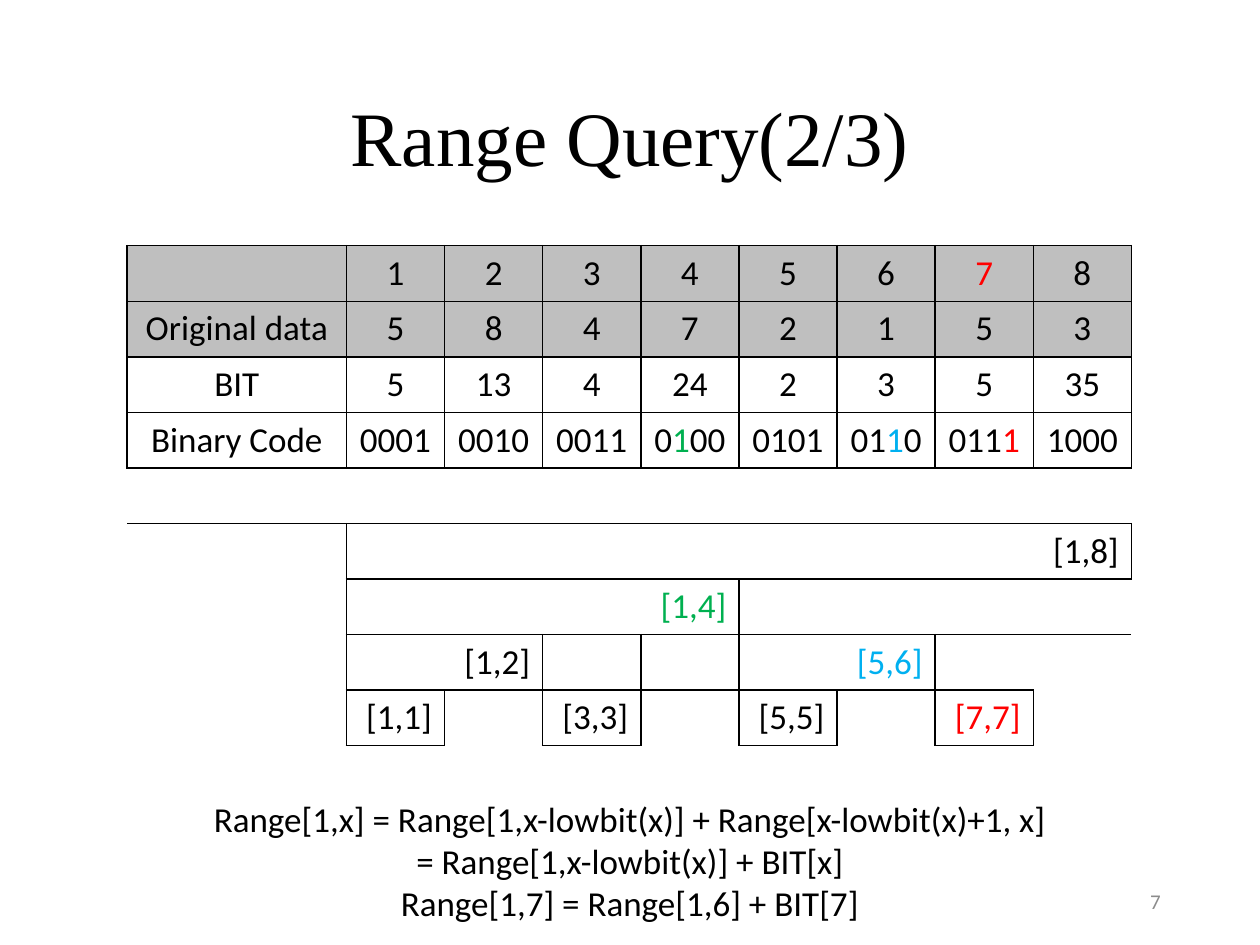
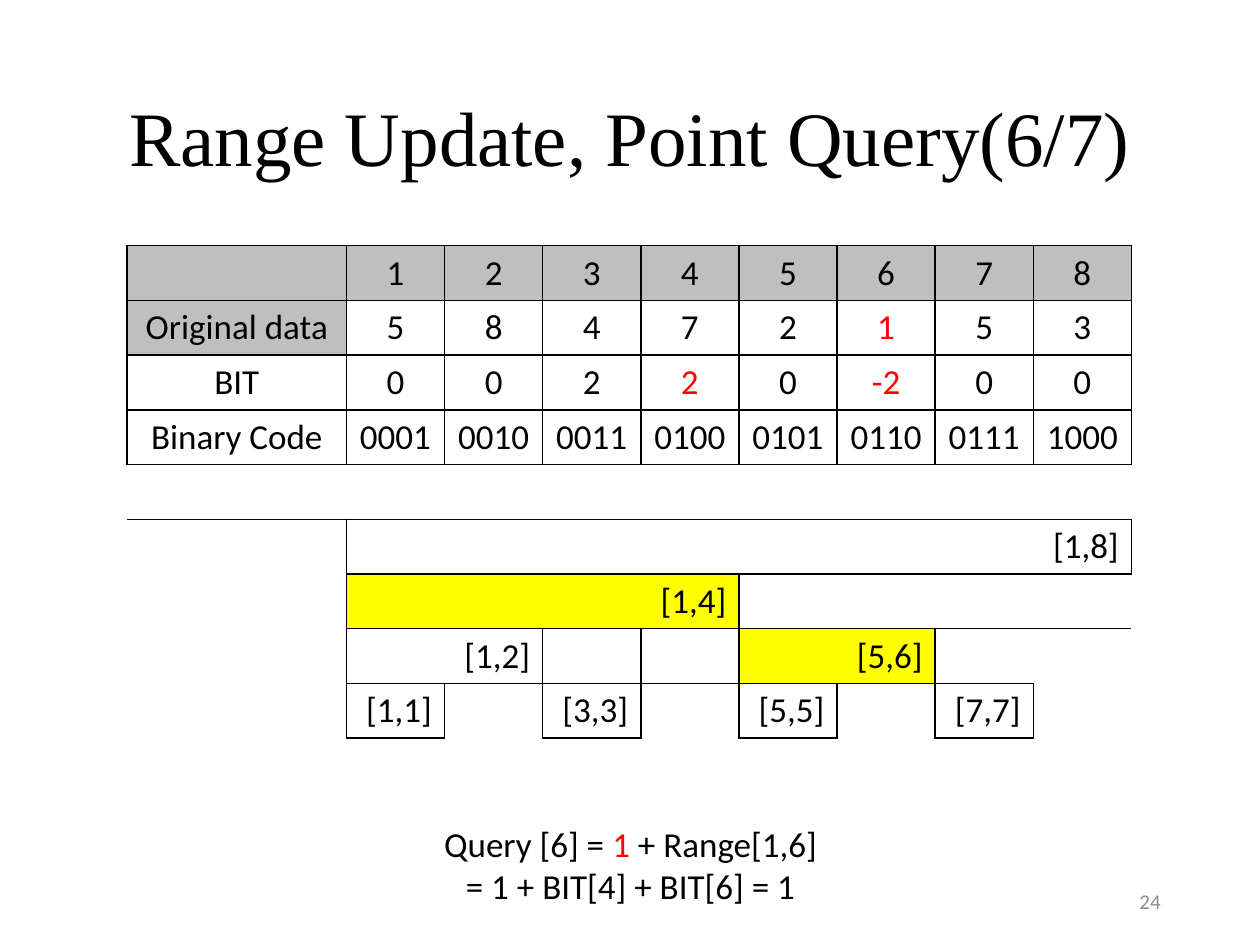
from lxml.etree import SubElement
from pptx import Presentation
from pptx.dml.color import RGBColor
from pptx.enum.text import MSO_ANCHOR as Anchor, MSO_AUTO_SIZE as AutoSize, PP_ALIGN as Align
from pptx.oxml.ns import qn
from pptx.util import Inches, Pt

BLACK = RGBColor(0x00, 0x00, 0x00)
GREY = RGBColor(0xBF, 0xBF, 0xBF)
NUMBER_GREY = RGBColor(0x8C, 0x8C, 0x8C)
RED = RGBColor(0xFF, 0x00, 0x00)
GREEN = RGBColor(0x00, 0xB0, 0x50)
BLUE = RGBColor(0x00, 0xB0, 0xF0)
YELLOW = RGBColor(0xFF, 0xFF, 0x00)

TITLE_FONT, BODY_FONT = "Times New Roman", "Calibri"
PLAIN_TABLE = "{2D5ABB26-0587-4C30-8999-92F81FD0307C}"
SIZE = 8                # indices in the tree
DATA_ROWS = 4           # header, data, BIT, binary code
ROWS = DATA_ROWS + 5    # then a gap and four tree levels
LABEL_WIDTH, TABLE_WIDTH = 1.74, 7.97
SIDES = {"a:lnL": (0, -1), "a:lnR": (0, 1), "a:lnT": (-1, 0), "a:lnB": (1, 0)}


def tree_node(index):
    """Table row, first index and label of the range that an index covers."""
    lowbit = index & -index
    first = index - lowbit + 1
    return ROWS - lowbit.bit_length(), first, f"[{first},{index}]"


class Deck:
    def __init__(self):
        self.prs = Presentation()
        self.prs.slide_width, self.prs.slide_height = Inches(10), Inches(7.5)
        self.slide = None

    def add_text(self, paragraph, content, size=20, color=BLACK, align=Align.CENTER, font=BODY_FONT):
        """Content is a string, or a list of strings and (string, colour) pairs."""
        paragraph.alignment = align
        for part in [content] if isinstance(content, str) else content:
            text, run_color = (part, color) if isinstance(part, str) else part
            run = paragraph.add_run()
            run.text = text
            run.font.name, run.font.size = font, Pt(size)
            run.font.color.rgb = run_color

    def start_slide(self, title, number):
        self.slide = self.prs.slides.add_slide(self.prs.slide_layouts[5])
        heading = self.slide.shapes.title
        heading.left, heading.top = Inches(0.69), Inches(0.4)
        heading.width, heading.height = Inches(8.62), Inches(1.45)
        frame = heading.text_frame
        frame.auto_size, frame.vertical_anchor = AutoSize.NONE, Anchor.MIDDLE
        frame.paragraphs[0].line_spacing = 0.9
        self.add_text(frame.paragraphs[0], title, 44, font=TITLE_FONT)

        # Slide number
        box = self.slide.shapes.add_textbox(Inches(7.06), Inches(6.95), Inches(2.25), Inches(0.4))
        box.text_frame.word_wrap = True
        box.text_frame.vertical_anchor = Anchor.MIDDLE
        self.add_text(box.text_frame.paragraphs[0], str(number), 12, NUMBER_GREY, Align.RIGHT)

    def formula(self, lines, left, top, width, height):
        box = self.slide.shapes.add_textbox(Inches(left), Inches(top), Inches(width), Inches(height))
        frame = box.text_frame
        frame.word_wrap, frame.auto_size = False, AutoSize.SHAPE_TO_FIT_TEXT
        for i, line in enumerate(lines):
            self.add_text(frame.paragraphs[0] if i == 0 else frame.add_paragraph(), line)

    def border(self, cell, side):
        line = SubElement(cell._tc.get_or_add_tcPr(), qn(side), w=str(Pt(1)))
        fill = SubElement(line, qn("a:solidFill"))
        SubElement(fill, qn("a:srgbClr"), val=str(BLACK))

    def tree_table(self, data, grey_cells, height, node_colors=None, node_fills=None):
        node_colors, node_fills = node_colors or {}, node_fills or {}
        table = self.slide.shapes.add_table(
            ROWS, SIZE + 1, Inches(1.01), Inches(1.95), Inches(TABLE_WIDTH), Inches(height)).table
        table.first_row = table.horz_banding = False
        table._tbl.tblPr.find(qn("a:tableStyleId")).text = PLAIN_TABLE
        for c, column in enumerate(table.columns):
            column.width = Inches((TABLE_WIDTH - LABEL_WIDTH) / SIZE if c else LABEL_WIDTH)

        # Boxed cells: the data rows and each tree range
        boxed = {(r, c) for r in range(DATA_ROWS) for c in range(SIZE + 1)}
        nodes = {index: tree_node(index) for index in range(1, SIZE + 1)}
        for index, (row, first, _) in nodes.items():
            boxed |= {(row, c) for c in range(first, index + 1)}

        # Borders go round boxed cells, from both sides of each edge
        for r in range(ROWS):
            for c in range(SIZE + 1):
                cell = table.cell(r, c)
                cell.vertical_anchor = Anchor.MIDDLE
                cell.margin_top = cell.margin_bottom = Inches(0.03)
                for side, (down, across) in SIDES.items():
                    if (r, c) in boxed or (r + down, c + across) in boxed:
                        self.border(cell, side)
                if (r, c) in grey_cells:
                    cell.fill.solid()
                    cell.fill.fore_color.rgb = GREY
                else:
                    cell.fill.background()

        # Data rows
        for r, values in enumerate(data):
            for c, value in enumerate(values):
                if value:
                    self.add_text(table.cell(r, c).text_frame.paragraphs[0], value)

        # Tree ranges
        for index, (row, first, label) in nodes.items():
            cell = table.cell(row, first)
            if first < index:
                cell.merge(table.cell(row, index))
            self.add_text(cell.text_frame.paragraphs[0], label,
                          color=node_colors.get(index, BLACK), align=Align.RIGHT)
            if index in node_fills:
                cell.fill.solid()
                cell.fill.fore_color.rgb = node_fills[index]


def data_rows(bit, highlights):
    """The four data rows; highlights replaces single cells by coloured runs."""
    indices = range(1, SIZE + 1)
    rows = [["", *map(str, indices)],
            ["Original data", *"58472153"],
            ["BIT", *map(str, bit)],
            ["Binary Code", *(f"{i:04b}" for i in indices)]]
    for (r, c), runs in highlights.items():
        rows[r][c] = runs
    return rows


def main():
    deck = Deck()
    header = {(0, c) for c in range(SIZE + 1)}

    # Range query
    deck.start_slide("Range Query(2/3)", 7)
    query_marks = {(0, 7): [("7", RED)],
                   (3, 4): ["0", ("1", GREEN), "00"],
                   (3, 6): ["01", ("1", BLUE), "0"],
                   (3, 7): ["011", ("1", RED)]}
    deck.tree_table(data_rows([5, 13, 4, 24, 2, 3, 5, 35], query_marks),
                    header | {(1, c) for c in range(SIZE + 1)}, 3.97,
                    node_colors={4: GREEN, 6: BLUE, 7: RED})
    deck.formula(["Range[1,x] = Range[1,x-lowbit(x)] + Range[x-lowbit(x)+1, x]",
                  "= Range[1,x-lowbit(x)] + BIT[x]",
                  "Range[1,7] = Range[1,6] + BIT[7]"], 1.56, 6.28, 6.88, 1.11)

    # Range update, point query
    deck.start_slide("Range Update, Point Query(6/7)", 24)
    update_marks = {(1, 6): [("1", RED)], (2, 4): [("2", RED)], (2, 6): [("-2", RED)]}
    deck.tree_table(data_rows([0, 0, 2, 2, 0, -2, 0, 0], update_marks),
                    header | {(1, 0)}, 3.91, node_fills={4: YELLOW, 6: YELLOW})
    deck.formula([["Query [6] = ", ("1", RED), " + Range[1,6]"],
                  "= 1 + BIT[4] + BIT[6] = 1"], 3.41, 6.48, 3.19, 0.77)

    deck.prs.save("out.pptx")


if __name__ == "__main__":
    main()
